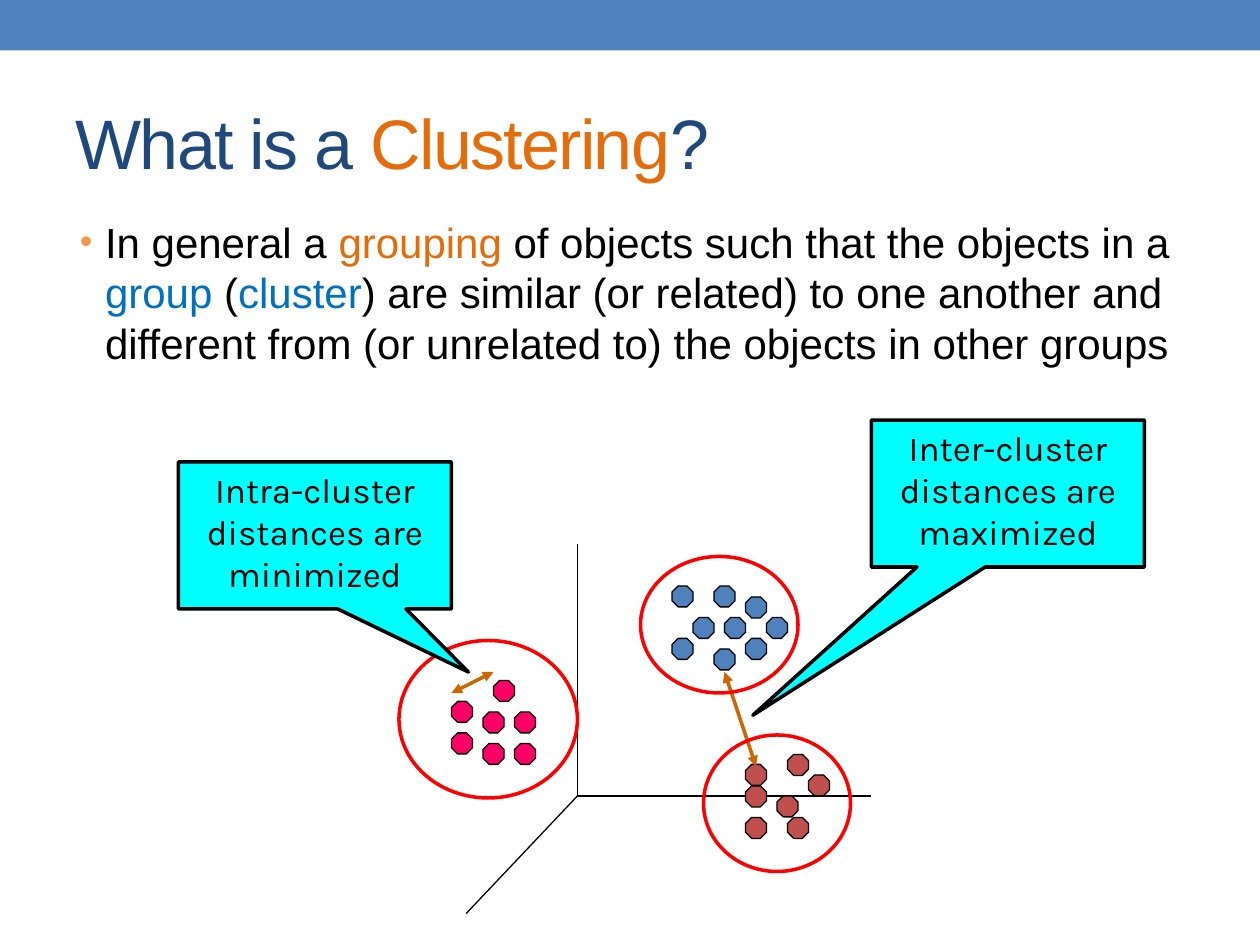
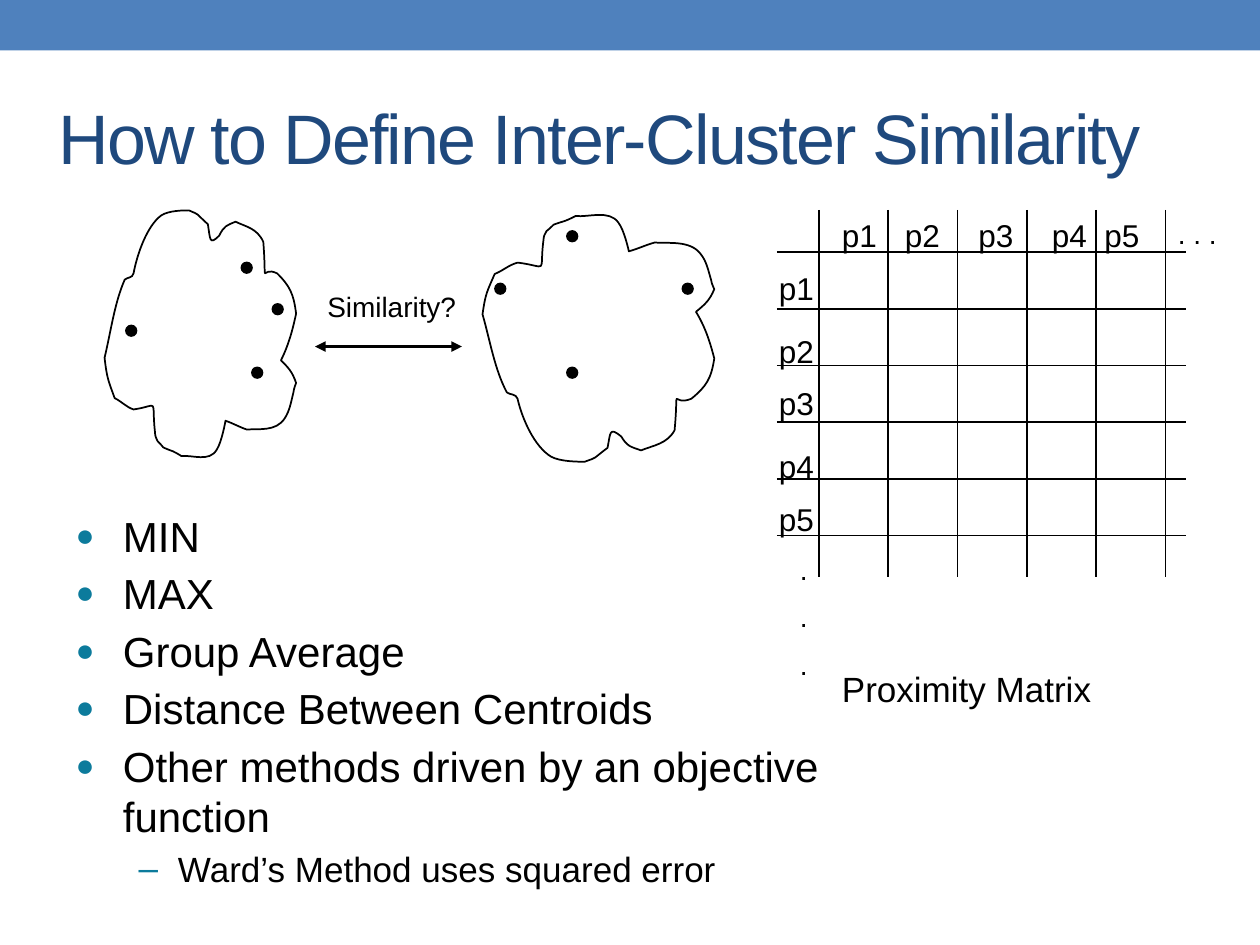
from pptx import Presentation
from pptx import util as u
from pptx.dml.color import RGBColor
from pptx.enum import shapes, text
from pptx.oxml.ns import qn
from lxml import etree

PX = 3810
COLORS = {
    "band": "4F81BD", "title": "1F497D", "accent": "E46C0A", "text": "000000",
    "link": "0070C0", "bullet": "F79646", "teal": "0C7B9C", "blue": "4F81BD",
    "pink": "FF0066", "brick": "C0504D", "arrow": "CC6600", "ring": "FF0000",
    "callout": "00FFFF",
}
KINDS = shapes.MSO_SHAPE
LEFT, CENTER = text.PP_ALIGN.LEFT, text.PP_ALIGN.CENTER
TOP, MIDDLE = text.MSO_ANCHOR.TOP, text.MSO_ANCHOR.MIDDLE
TITLE = {"size": u.Pt(40), "name": "Arial"}
BODY = {"size": u.Pt(24), "name": "Arial"}
SUB_BODY = {"size": u.Pt(20), "name": "Arial"}
LABEL = {"size": u.Pt(18), "name": "Arial"}
NOTE = {"size": u.Pt(16), "name": "Arial"}
CALLOUT = {"size": u.Pt(20), "name": "Karla"}


def apply(target, values):
    for name, value in values.items():
        setattr(target, name, value)


def color(name):
    return RGBColor.from_string(COLORS[name])


def add_xml(parent, tag, **attributes):
    return etree.SubElement(parent, qn(tag), attributes)


class Deck:
    def __init__(self):
        self.presentation = Presentation()
        apply(self.presentation, {"slide_width": 2400 * PX, "slide_height": 1800 * PX})
        self.slide = None

    def new_slide(self, title_runs, title_box):
        self.slide = self.presentation.slides.add_slide(self.presentation.slide_layouts[1])
        title = self.slide.shapes.title
        self.place(title, title_box)
        apply(title.text_frame, {"vertical_anchor": MIDDLE, "auto_size": text.MSO_AUTO_SIZE.NONE})
        paragraph = title.text_frame.paragraphs[0]
        paragraph.alignment = LEFT
        self.runs(paragraph, title_runs, TITLE)
        for run in paragraph.runs:
            run.font._element.set("spc", "-100")

    def master_band(self, box):
        band = self.shape(KINDS.RECTANGLE, box, "band")
        self.presentation.slide_master.shapes._spTree.insert(2, band._element)

    def place(self, shape, box):
        apply(shape, dict(zip(("left", "top", "width", "height"), (v * PX for v in box))))

    def runs(self, paragraph, runs, font):
        for words, color_name in runs:
            run = paragraph.add_run()
            run.text = words
            apply(run.font, font)
            run.font.color.rgb = color(color_name)

    def body(self, box):
        body = self.slide.placeholders[1]
        self.place(body, box)
        apply(body.text_frame, {"auto_size": text.MSO_AUTO_SIZE.NONE, "vertical_anchor": TOP})
        return body.text_frame

    def bullet(self, paragraph, runs, font, mark, mark_color, size, margin, hang, spacing):
        apply(paragraph, spacing)
        self.runs(paragraph, runs, font)
        properties = paragraph._p.get_or_add_pPr()
        properties.set("marL", str(margin * PX))
        properties.set("indent", str(-hang * PX))
        add_xml(add_xml(properties, "a:buClr"), "a:srgbClr", val=COLORS[mark_color])
        add_xml(properties, "a:buSzPct", val=str(size * 1000))
        add_xml(properties, "a:buFont", typeface="Arial")
        add_xml(properties, "a:buChar", char=mark)

    def paint(self, shape, fill=None, line=None, width=1):
        shape.shadow.inherit = False
        if fill:
            shape.fill.solid()
            shape.fill.fore_color.rgb = color(fill)
        else:
            shape.fill.background()
        if line:
            shape.line.color.rgb = color(line)
            shape.line.width = u.Pt(width)
        else:
            shape.line.fill.background()

    def shape(self, kind, box, fill=None, line=None, width=1):
        shape = self.slide.shapes.add_shape(kind, *(v * PX for v in box))
        self.paint(shape, fill, line, width)
        return shape

    def callout(self, words, box, tip):
        shape = self.shape(KINDS.RECTANGULAR_CALLOUT, box, "callout", "text", 2)
        shape.adjustments[0], shape.adjustments[1] = tip
        apply(shape.text_frame, {"word_wrap": True, "vertical_anchor": TOP})
        paragraph = shape.text_frame.paragraphs[0]
        paragraph.alignment = CENTER
        self.runs(paragraph, [(words, "text")], CALLOUT)

    def line(self, start, end, line="text", width=1, arrows=False):
        connector = self.slide.shapes.add_connector(
            shapes.MSO_CONNECTOR.STRAIGHT, *(v * PX for v in start + end))
        connector.line.color.rgb = color(line)
        connector.line.width = u.Pt(width)
        if arrows:
            outline = connector.line._get_or_add_ln()
            for tag in ("a:headEnd", "a:tailEnd"):
                add_xml(outline, tag, type="triangle")
        add_xml(connector._element.spPr, "a:effectLst")

    def label(self, lines, box, font):
        frame = self.slide.shapes.add_textbox(*(v * PX for v in box)).text_frame
        frame.word_wrap = True
        for i, words in enumerate(lines):
            paragraph = frame.add_paragraph() if i else frame.paragraphs[0]
            paragraph.space_before = u.Pt(font["size"].pt / 2 if i else 0)
            self.runs(paragraph, [(words, "text")], font)

    def curve(self, points):
        start, *rest = [(round(x * PX), round(y * PX)) for x, y in points]
        builder = self.slide.shapes.build_freeform(*start)
        builder.add_line_segments(rest, close=True)
        shape = builder.convert_to_shape()
        self.paint(shape, line="text")
        segments = list(shape._element.iter(qn("a:lnTo")))
        for i in range(0, len(rest), 3):
            first, *others = segments[i:i + 3]
            bezier = etree.Element(qn("a:cubicBezTo"))
            first.addprevious(bezier)
            for segment in (first, *others):
                bezier.append(segment[0])
                segment.getparent().remove(segment)


CLUSTERS = {
    "blue": [(1320, 1176), (1380, 1176), (1360, 1116), (1360, 1236), (1460, 1176),
             (1420, 1137), (1280, 1116), (1420, 1216), (1280, 1216)],
    "pink": [(860, 1336), (920, 1356), (920, 1416), (980, 1356), (940, 1296),
             (980, 1416), (860, 1396)],
    "brick": [(1420, 1456), (1540, 1476), (1480, 1516), (1420, 1557), (1500, 1557),
              (1420, 1497), (1500, 1437)],
}
RINGS = [(760, 1220, 340, 300), (1220, 1060, 300, 260), (1340, 1400, 280, 260)]

BLOB_SCALE = 2.4
BLOB = [
    (99, 222), (91, 240), (88, 263), (83, 284), (85, 301), (86, 302), (91, 316),
    (97, 319), (100, 323), (106, 325), (127, 322), (120, 315), (123, 343),
    (123, 346), (124, 348), (125, 350), (132, 357), (127, 354), (134, 357),
    (138, 358), (144, 362), (144, 362), (153, 361), (166, 367), (172, 357),
    (176, 351), (179, 334), (179, 334), (185, 336), (190, 339), (196, 341),
    (205, 340), (219, 343), (226, 332), (230, 326), (231, 319), (233, 311),
    (233, 309), (235, 304), (235, 304), (232, 295), (229, 292), (223, 286),
    (229, 274), (232, 263), (235, 249), (233, 233), (230, 227), (220, 217),
    (206, 210), (212, 232), (209, 192), (204, 181), (195, 180), (187, 176),
    (180, 179), (178, 179), (174, 187), (166, 195), (167, 190), (165, 178),
    (154, 168), (159, 171), (150, 167), (146, 167), (134, 167), (128, 171),
    (117, 179), (109, 201), (106, 217), (105, 221), (101, 220), (99, 222),
]
BLOB_POINTS = [(480, 700), (460, 500), (240, 620), (519, 579),
               (1300, 540), (943, 540), (1080, 700), (1080, 440)]
METHODS = ["MIN", "MAX", "Group Average", "Distance Between Centroids",
           "Other methods driven by an objective function"]


def clustering_slide(deck):
    deck.new_slide([("What is a ", "title"), ("Clustering", "accent"), ("?", "title")],
                   (120, 140, 2160, 260))
    deck.master_band((0, 0, 2400, 96))
    frame = deck.body((128, 400, 2184, 341))
    definition = [
        ("In general a ", "text"), ("grouping", "accent"),
        (" of objects such that the objects in a ", "text"), ("group", "link"),
        (" (", "text"), ("cluster", "link"),
        (") are similar (or related) to one another and different from "
         "(or unrelated to) the objects in other groups", "text")]
    deck.bullet(frame.paragraphs[0], definition, BODY, "•", "bullet", 85, 48, 48, {})

    origin = (1100, 1516)
    for end in ((1100, 1036), (1660, 1516), (888, 1740)):
        deck.line(origin, end, width=0.75)
    for fill, corners in CLUSTERS.items():
        for x, y in corners:
            deck.shape(KINDS.OCTAGON, (x, y, 40, 40), fill, "text", 0.75)
    deck.line((1440, 1460), (1380, 1280), "arrow", 2, arrows=True)
    deck.callout("Inter-cluster distances are maximized", (1660, 800, 520, 280), (-0.935, 1.509))
    for ring in RINGS:
        deck.shape(KINDS.OVAL, ring, line="ring", width=2)
    deck.line((860, 1320), (940, 1280), "arrow", 2, arrows=True)
    deck.callout("Intra-cluster distances are minimized", (340, 880, 520, 280), (0.562, 0.929))


def similarity_slide(deck):
    deck.new_slide([("How to Define Inter-Cluster Similarity", "title")], (87, 120, 2174, 280))

    for i in range(6):
        x, y = 1560 + 132 * i, 480 + 108 * i
        deck.line((x, 400), (x, 1100))
        deck.line((1480, y), (2260, y))
    columns, rows = (1580, 1700, 1840, 1980, 2080), (500, 620, 720, 840, 940)
    for i, (x, y) in enumerate(zip(columns, rows), 1):
        deck.label([f"p{i}"], (x, 400, 140, 80), LABEL)
        deck.label([f"p{i}"], (1460, y, 140, 80), LABEL)
    deck.label([". . ."], (2220, 400, 140, 88), NOTE)
    deck.label(["."] * 3, (1500, 1040, 140, 280), NOTE)
    deck.label(["Proximity Matrix"], (1580, 1260, 660, 104), SUB_BODY)

    deck.line((600, 660), (880, 660), width=2, arrows=True)
    deck.label(["Similarity?"], (600, 540, 380, 88), NOTE)
    mirrored = [(383 + (x - 83) * 1.21, 533.5 - y) for x, y in BLOB]
    for outline in (BLOB, mirrored):
        deck.curve([(x * BLOB_SCALE, y * BLOB_SCALE) for x, y in outline])
    for x, y in BLOB_POINTS:
        deck.shape(KINDS.OVAL, (x, y, 20, 20), "text", "text")

    frame = deck.body((120, 960, 1520, 820))
    spacing = {"space_before": u.Pt(2), "space_after": u.Pt(2)}
    for i, method in enumerate(METHODS):
        paragraph = frame.add_paragraph() if i else frame.paragraphs[0]
        deck.bullet(paragraph, [(method, "text")], BODY, "●", "teal", 75, 90, 90, spacing)
    deck.bullet(frame.add_paragraph(), [("Ward’s Method uses squared error", "text")],
                SUB_BODY, "–", "teal", 100, 195, 75, {"level": 1, **spacing})


def main():
    deck = Deck()
    clustering_slide(deck)
    similarity_slide(deck)
    deck.presentation.save("out.pptx")


if __name__ == "__main__":
    main()
